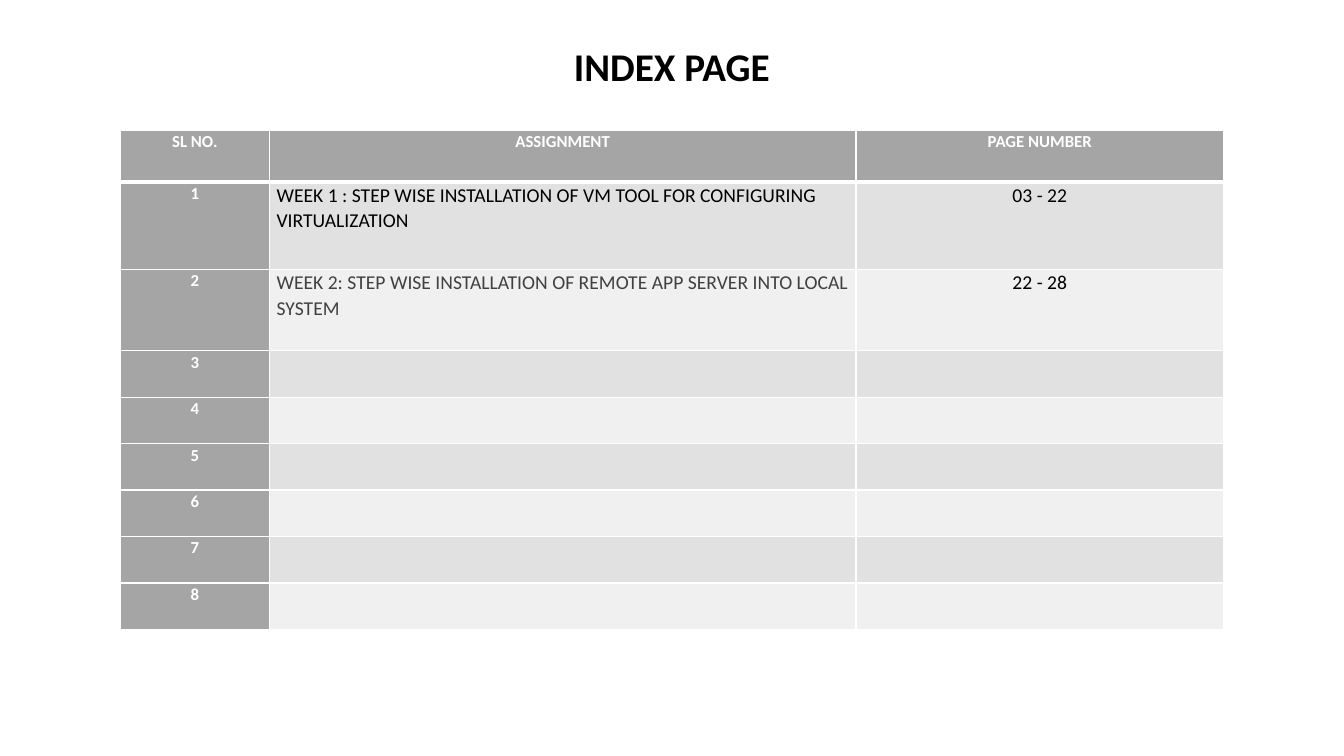
"""Build an index page slide with a table of weekly assignments."""
from lxml import etree
from pptx import Presentation
from pptx.dml.color import RGBColor
from pptx.enum import text as t
from pptx.oxml import ns
from pptx.util import Cm, Pt

WHITE = RGBColor(0xFF, 0xFF, 0xFF)
BLACK = RGBColor(0, 0, 0)
DARK = RGBColor(0x40, 0x40, 0x40)
GREY = RGBColor(0xA5, 0xA5, 0xA5)
BANDS = RGBColor(0xE1, 0xE1, 0xE1), RGBColor(0xF0, 0xF0, 0xF0)
FONT = "Calibri"
HEADS = "SL NO.", "ASSIGNMENT", "PAGE NUMBER"
TASKS = [
    ("WEEK 1 : STEP WISE INSTALLATION OF VM TOOL FOR CONFIGURING VIRTUALIZATION",
     "03 - 22", BLACK),
    ("WEEK 2: STEP WISE INSTALLATION OF REMOTE APP SERVER INTO LOCAL SYSTEM",
     "22 - 28", DARK),
]
COUNT = 8
WIDTHS = 3.76, 14.78, 9.27
HEIGHTS = [1.31, 2.2, 2.05] + [1.17] * (COUNT - len(TASKS))


def write(frame, words, size, color, bold=False, align=t.PP_ALIGN.CENTER):
    """Write one paragraph as a single run."""
    para = frame.paragraphs[0]
    para.alignment = align
    para.line_spacing = 1.07
    para.space_after = Pt(8)
    run = para.add_run()
    run.text = words
    font = run.font
    font.name, font.size, font.bold = FONT, Pt(size), bold
    font.color.rgb = color


def edge(cell, side, width):
    """Draw a white border on one side of a cell."""
    line = etree.SubElement(cell._tc.get_or_add_tcPr(), ns.qn("a:ln" + side),
                            w=str(Pt(width)))
    fill = etree.SubElement(line, ns.qn("a:solidFill"))
    etree.SubElement(fill, ns.qn("a:srgbClr"), val=str(WHITE))


def style(cell, row, col):
    """Set the margins, borders and fill of a cell."""
    cell.margin_left = cell.margin_right = Cm(0.18)
    cell.margin_top = cell.margin_bottom = 0
    for side in "LRTB":
        thick = (row, side) in ((0, "B"), (1, "T"))
        edge(cell, side, 3 if thick else 1)
    cell.fill.solid()
    head = row == 0 or col == 0
    cell.fill.fore_color.rgb = GREY if head else BANDS[(row - 1) % 2]


def add_title(slide):
    """Add the centred title."""
    box = slide.shapes.add_textbox(Cm(8.46), Cm(0.86), Cm(16.94), Cm(1.47))
    frame = box.text_frame
    frame.word_wrap = True
    frame.auto_size = t.MSO_AUTO_SIZE.SHAPE_TO_FIT_TEXT
    write(frame, "INDEX PAGE", 28, BLACK, True)


def add_index(slide):
    """Add the table of assignments and their pages."""
    frame = slide.shapes.add_table(COUNT + 1, len(HEADS), Cm(3.03), Cm(3.28),
                                   Cm(sum(WIDTHS)), Cm(sum(HEIGHTS)))
    table = frame.table
    for col, width in zip(table.columns, WIDTHS):
        col.width = Cm(width)
    for row, height in zip(table.rows, HEIGHTS):
        row.height = Cm(height)
    for row in range(COUNT + 1):
        for col in range(len(HEADS)):
            style(table.cell(row, col), row, col)
    for col, head in enumerate(HEADS):
        write(table.cell(0, col).text_frame, head, 12, WHITE, True)
    for row in range(1, COUNT + 1):
        write(table.cell(row, 0).text_frame, str(row), 12, WHITE, True)
    for row, (task, pages, color) in enumerate(TASKS, 1):
        write(table.cell(row, 1).text_frame, task, 14, color,
              align=t.PP_ALIGN.LEFT)
        write(table.cell(row, 2).text_frame, pages, 14, BLACK)


def main():
    """Build and save the slide."""
    deck = Presentation()
    deck.slide_width, deck.slide_height = Cm(33.87), Cm(19.05)
    slide = deck.slides.add_slide(deck.slide_layouts[6])
    add_title(slide)
    add_index(slide)
    deck.save("out.pptx")


if __name__ == "__main__":
    main()
